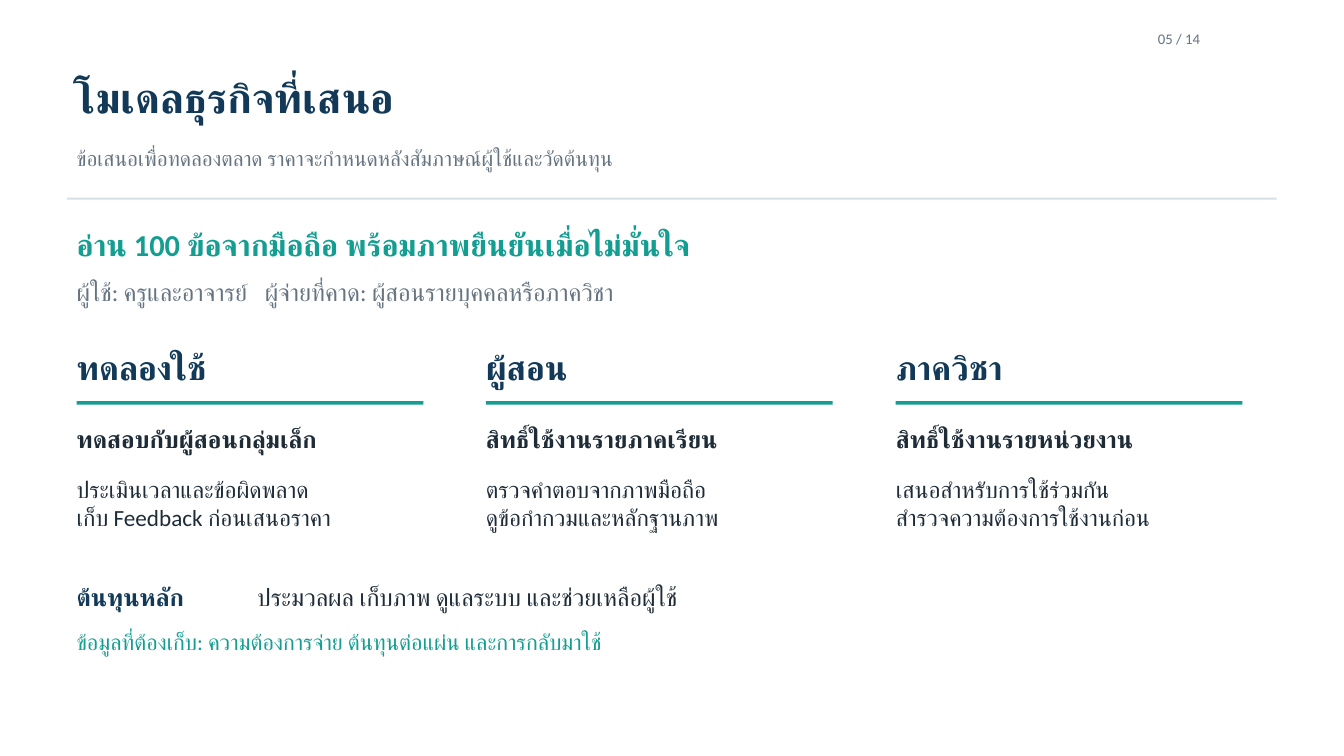
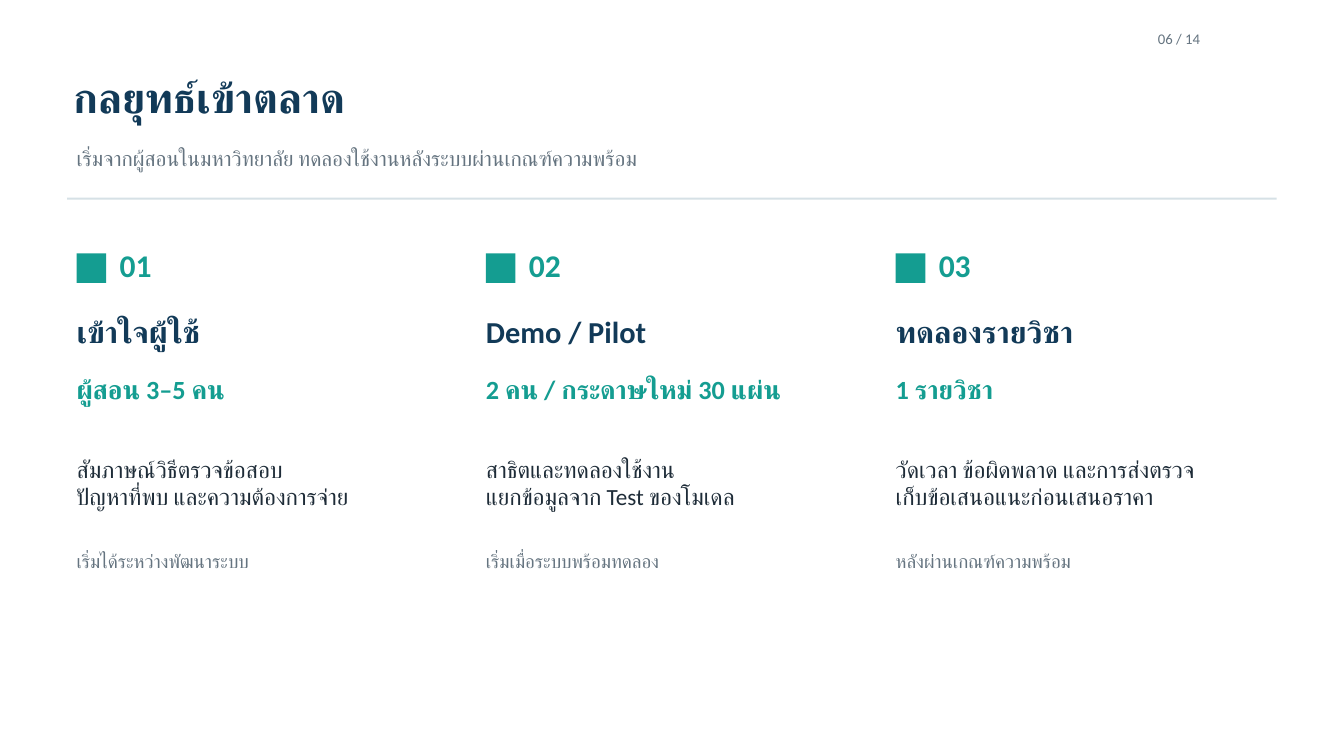
"""Build the business model and market entry slides."""
from lxml import etree
from pptx import Presentation
from pptx import util as u
from pptx.dml.color import RGBColor
from pptx.enum import shapes, text
from pptx.oxml import ns

NAVY = RGBColor(0x12, 0x3A, 0x58)
TEAL = RGBColor(0x14, 0x9D, 0x91)
INK = RGBColor(0x1E, 0x2C, 0x38)
GREY = RGBColor(0x65, 0x74, 0x80)
RULE = RGBColor(0xD6, 0xE1, 0xE6)
WHITE = RGBColor(0xFF, 0xFF, 0xFF)
FONT = "Calibri"
PX = u.Inches(1) // 100
LEFT = 114
COLUMNS = [LEFT + i * 1219 // 2 for i in range(3)]
FULL_WIDTH = 1773
COLUMN_WIDTH = 539
WIDE_COLUMN = 550

PLANS = [
    ("ทดลองใช้", "ทดสอบกับผู้สอนกลุ่มเล็ก",
     ["ประเมินเวลาและข้อผิดพลาด", "เก็บ Feedback ก่อนเสนอราคา"]),
    ("ผู้สอน", "สิทธิ์ใช้งานรายภาคเรียน",
     ["ตรวจคำตอบจากภาพมือถือ", "ดูข้อกำกวมและหลักฐานภาพ"]),
    ("ภาควิชา", "สิทธิ์ใช้งานรายหน่วยงาน",
     ["เสนอสำหรับการใช้ร่วมกัน", "สำรวจความต้องการใช้งานก่อน"]),
]
STAGES = [
    ("เข้าใจผู้ใช้", "ผู้สอน 3–5 คน",
     ["สัมภาษณ์วิธีตรวจข้อสอบ", "ปัญหาที่พบ และความต้องการจ่าย"],
     "เริ่มได้ระหว่างพัฒนาระบบ"),
    ("Demo / Pilot", "2 คน / กระดาษใหม่ 30 แผ่น",
     ["สาธิตและทดลองใช้งาน", "แยกข้อมูลจาก Test ของโมเดล"],
     "เริ่มเมื่อระบบพร้อมทดลอง"),
    ("ทดลองรายวิชา", "1 รายวิชา",
     ["วัดเวลา ข้อผิดพลาด และการส่งตรวจ", "เก็บข้อเสนอแนะก่อนเสนอราคา"],
     "หลังผ่านเกณฑ์ความพร้อม"),
]


class Slides:
    """Hold the deck, its style and the current page."""

    def __init__(self):
        self.deck = Presentation()
        self.deck.slide_width, self.deck.slide_height = 2000 * PX, 1125 * PX
        self.page = None

    def start(self, number, title, subtitle):
        """Add a page with its number, title, subtitle and rule."""
        self.page = self.deck.slides.add_slide(self.deck.slide_layouts[5])
        background = self.page.background.fill
        background.solid()
        background.fore_color.rgb = WHITE
        self.label(1723, 44, 168, 26, f"{number:02} / 14", 15.8, GREY)
        self.fill_box(self.page.shapes.title, (110, 106, 1780, 76), [title], 45, NAVY, True)
        self.label(LEFT, 216, 1769, 39, subtitle, 22.5, GREY)
        self.bar(100, 294, 1800, 3, RULE)

    def label(self, left, top, width, height, words, size, color, bold=False, tab=None):
        """Add a text box with one line, or with a list of lines."""
        lines = [words] if isinstance(words, str) else words
        box = self.page.shapes.add_textbox(0, 0, 0, 0)
        self.fill_box(box, (left, top, width, height), lines, size, color, bold, tab)

    def fill_box(self, box, place, lines, size, color, bold, tab=None):
        """Place a box and fill it with styled paragraphs."""
        box.left, box.top, box.width, box.height = (length * PX for length in place)
        frame = box.text_frame
        frame.margin_left = frame.margin_top = frame.margin_right = frame.margin_bottom = 0
        frame.word_wrap = True
        frame.auto_size = text.MSO_AUTO_SIZE.SHAPE_TO_FIT_TEXT
        frame.vertical_anchor = text.MSO_ANCHOR.TOP
        frame.text = "\n".join(lines)
        for para in frame.paragraphs:
            para.alignment = text.PP_ALIGN.LEFT
            para.line_spacing = u.Pt(size * 1.2)
            properties = para._p.get_or_add_pPr()
            if tab:
                stops = etree.SubElement(properties, ns.qn("a:tabLst"))
                etree.SubElement(stops, ns.qn("a:tab"), pos=str(tab * PX), algn="l")
            font = para.font
            font.name, font.size, font.bold = FONT, u.Pt(size), bold
            font.color.rgb = color
            defaults = properties.find(ns.qn("a:defRPr"))
            etree.SubElement(defaults, ns.qn("a:cs"), typeface=FONT)

    def bar(self, left, top, width, height, color=TEAL):
        """Add a plain filled rectangle."""
        shape = self.page.shapes.add_shape(
            shapes.MSO_SHAPE.RECTANGLE, left * PX, top * PX, width * PX, height * PX)
        shape.shadow.inherit = False
        shape.fill.solid()
        shape.fill.fore_color.rgb = color
        shape.line.fill.background()


def add_business_model(slides):
    """Show the offer, three plans and the main costs."""
    slides.start(5, "โมเดลธุรกิจที่เสนอ",
                 "ข้อเสนอเพื่อทดลองตลาด ราคาจะกำหนดหลังสัมภาษณ์ผู้ใช้และวัดต้นทุน")
    slides.label(LEFT, 336, FULL_WIDTH, 55,
                 "อ่าน 100 ข้อจากมือถือ พร้อมภาพยืนยันเมื่อไม่มั่นใจ", 32.6, TEAL, True)
    slides.label(LEFT, 413, FULL_WIDTH, 44,
                 "ผู้ใช้: ครูและอาจารย์\tผู้จ่ายที่คาด: ผู้สอนรายบุคคลหรือภาควิชา",
                 25.9, GREY, tab=280)
    for left, (plan, offer, details) in zip(COLUMNS, PLANS):
        slides.label(left, 516, COLUMN_WIDTH, 60, plan, 36, NAVY, True)
        slides.bar(left, 597, 516, 5)
        slides.label(left, 632, COLUMN_WIDTH, 44, offer, 25.9, INK, True)
        slides.label(left, 708, COLUMN_WIDTH, 81, details, 24.8, INK)
    slides.label(LEFT, 866, 266, 44, "ต้นทุนหลัก", 25.9, NAVY, True)
    slides.label(383, 866, 1500, 44,
                 "ประมวลผล เก็บภาพ ดูแลระบบ และช่วยเหลือผู้ใช้", 25.9, INK)
    slides.label(LEFT, 935, FULL_WIDTH, 40,
                 "ข้อมูลที่ต้องเก็บ: ความต้องการจ่าย ต้นทุนต่อแผ่น และการกลับมาใช้", 23.6, TEAL)


def add_market_entry(slides):
    """Show the three numbered stages of market entry."""
    slides.start(6, "กลยุทธ์เข้าตลาด",
                 "เริ่มจากผู้สอนในมหาวิทยาลัย ทดลองใช้งานหลังระบบผ่านเกณฑ์ความพร้อม")
    for number, (left, stage) in enumerate(zip(COLUMNS, STAGES), 1):
        name, target, details, timing = stage
        slides.bar(left, 377, 44, 44)
        slides.label(left + 64, 366, 375, 56, f"{number:02}", 33.8, TEAL, True)
        slides.label(left, 466, COLUMN_WIDTH, 55, name, 32.6, NAVY, True)
        slides.label(left, 555, WIDE_COLUMN, 47, target, 28.1, TEAL, True)
        slides.label(left, 677, WIDE_COLUMN, 81, details, 24.8, INK)
        slides.label(left, 818, WIDE_COLUMN, 34, timing, 20.2, GREY)


def main():
    """Build both pages and save the deck."""
    slides = Slides()
    add_business_model(slides)
    add_market_entry(slides)
    slides.deck.save("out.pptx")


if __name__ == "__main__":
    main()
